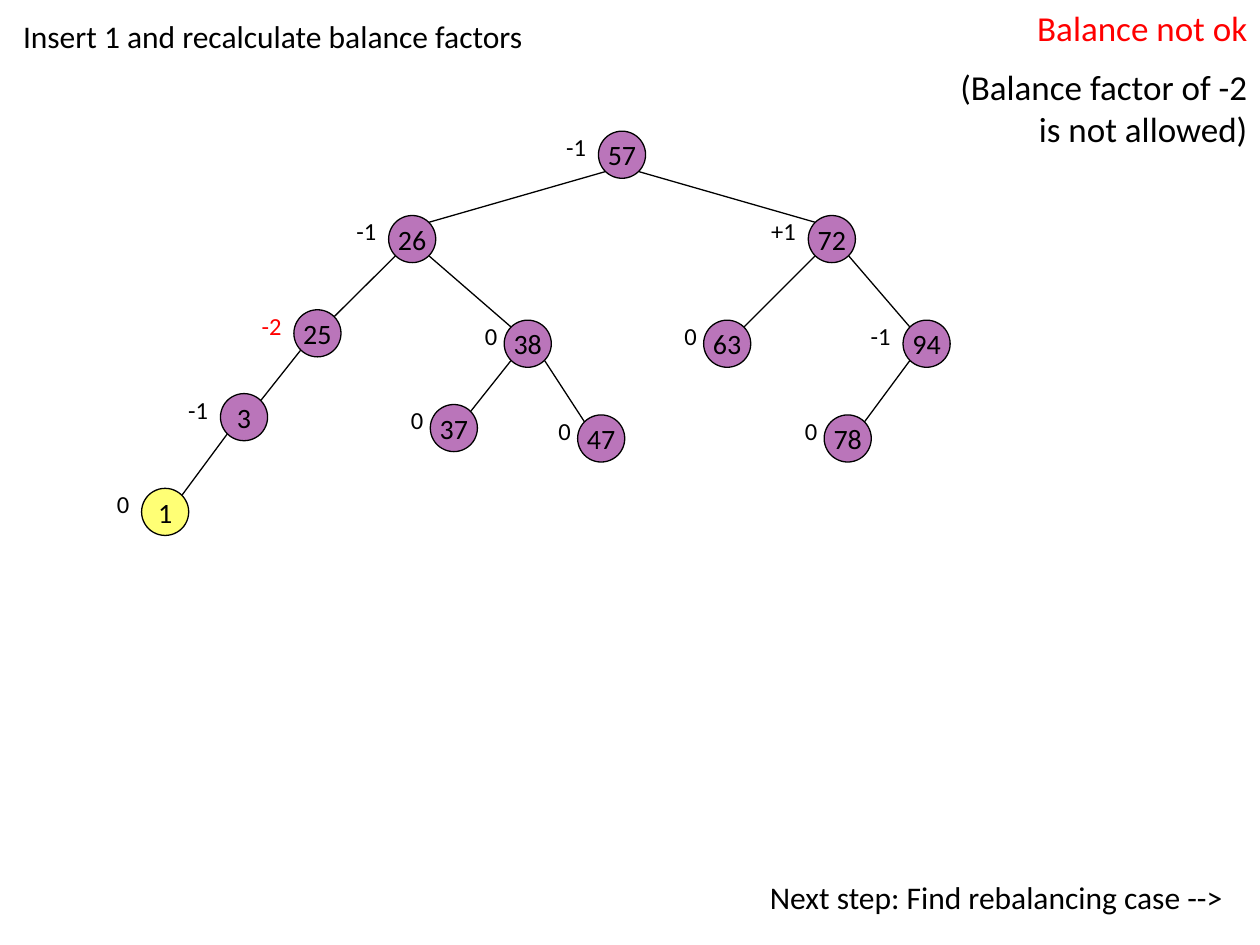
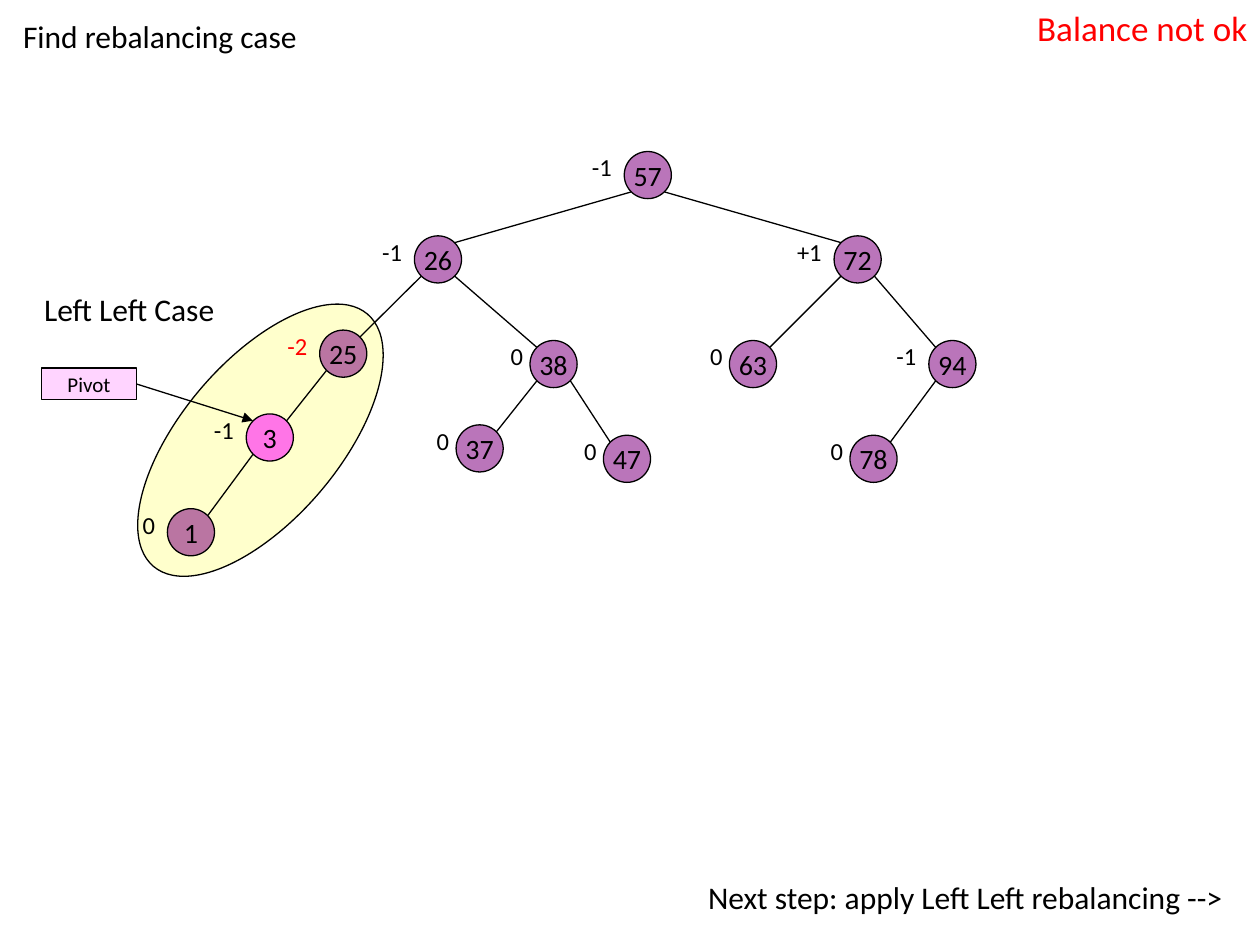
from lxml import etree
from pptx import Presentation
from pptx import util as u
from pptx.dml.color import RGBColor
from pptx.enum import shapes, text
from pptx.oxml.ns import qn

BLACK = RGBColor(0, 0, 0)
RED = RGBColor(255, 0, 0)
PURPLE = RGBColor(128, 0, 128)
YELLOW = RGBColor(255, 255, 0)
MAGENTA = RGBColor(255, 0, 255)
FONT = "Calibri"
LEFT, CENTER, RIGHT = text.PP_ALIGN.LEFT, text.PP_ALIGN.CENTER, text.PP_ALIGN.RIGHT

NODE_SIZE = 0.95
NODE_OPACITY = 54
RIM = 0.34
ZERO_WIDTH = 0.64

NODES = {
    57: (12.54, 3.12, "-1", 2.96),
    26: (8.31, 4.82, "-1", 2.33),
    72: (16.77, 4.82, "+1", 1.69),
    25: (6.40, 6.72, "-2", 1.06),
    38: (10.64, 6.93, "0", ZERO_WIDTH),
    63: (14.66, 6.93, "0", ZERO_WIDTH),
    94: (18.68, 6.93, "-1", 1.48),
    3: (4.92, 8.41, "-1", 1.27),
    37: (9.15, 8.63, "0", ZERO_WIDTH),
    47: (12.12, 8.84, "0", ZERO_WIDTH),
    78: (17.09, 8.84, "0", ZERO_WIDTH),
    1: (3.33, 10.32, "0", 1.27),
}
EDGES = [(57, 26), (57, 72), (26, 25), (26, 38), (72, 63), (72, 94),
         (25, 3), (38, 37), (38, 47), (94, 78), (3, 1)]


class TreeDeck:
    def __init__(self):
        self.deck = Presentation()
        self.deck.slide_width, self.deck.slide_height = u.Cm(25.4), u.Cm(19.05)
        self.page = None

    def set_lines(self, frame, lines, size, align=LEFT):
        frame.text = "\n".join(line for line, color in lines)
        for index, (para, (line, color)) in enumerate(zip(frame.paragraphs, lines)):
            para.alignment = align
            para.space_before = u.Pt(size / 2 if index else 0)
            for span in para.runs:
                span.font.name, span.font.size = FONT, u.Pt(size)
                span.font.color.rgb = color

    def new_page(self, title, next_step):
        self.page = self.deck.slides.add_slide(self.deck.slide_layouts[5])
        box = self.page.shapes.title
        box.left, box.top, box.width, box.height = map(u.Cm, (0.21, 0.21, 17.35, 1.27))
        box.text_frame.auto_size = text.MSO_AUTO_SIZE.NONE
        box.text_frame.vertical_anchor = text.MSO_ANCHOR.TOP
        self.set_lines(box.text_frame, [(title, BLACK)], 18)
        self.label((0, 17.57, 24.9, 1.02), [(next_step, BLACK)], 18, RIGHT)

    def label(self, place, lines, size, align=LEFT):
        box = self.page.shapes.add_textbox(*map(u.Cm, place))
        box.text_frame.word_wrap = True
        box.text_frame.auto_size = text.MSO_AUTO_SIZE.SHAPE_TO_FIT_TEXT
        self.set_lines(box.text_frame, lines, size, align)

    def status(self, height, *remarks):
        lines = [("Balance not ok", RED)] + [(remark, BLACK) for remark in remarks]
        self.label((18.9, 0, 6.5, height), lines, 20, RIGHT)

    def shape(self, kind, place, color, opacity, caption="", size=16):
        shape = self.page.shapes.add_shape(kind, *map(u.Cm, place))
        shape.shadow.inherit = False
        shape.fill.solid()
        shape.fill.fore_color.rgb = color
        tint = shape.element.spPr.find(qn("a:solidFill")).find(qn("a:srgbClr"))
        etree.SubElement(tint, qn("a:alpha")).set("val", str(opacity * 1000))
        shape.line.color.rgb = BLACK
        shape.line.width = u.Pt(0.75)
        if caption:
            shape.text_frame.word_wrap = False
            shape.text_frame.vertical_anchor = text.MSO_ANCHOR.MIDDLE
            self.set_lines(shape.text_frame, [(caption, BLACK)], size, CENTER)
        return shape

    def line(self, start, end, arrow=False):
        line = self.page.shapes.add_connector(
            shapes.MSO_CONNECTOR.STRAIGHT, *map(u.Cm, (*start, *end)))
        line.line.color.rgb = BLACK
        line.line.width = u.Pt(0.75)
        properties = line.element.spPr
        if arrow:
            tail = etree.SubElement(properties.find(qn("a:ln")), qn("a:tailEnd"))
            tail.set("type", "triangle")
        etree.SubElement(properties, qn("a:effectLst"))
        return line

    def node(self, key, x, y, factor, label_width, color):
        left = x - NODE_SIZE / 2
        self.shape(shapes.MSO_SHAPE.OVAL, (left, y - NODE_SIZE / 2, NODE_SIZE, NODE_SIZE),
                   color, NODE_OPACITY, str(key))
        self.label((left - label_width, y - 0.58, label_width, 0.85),
                   [(factor, RED if factor == "-2" else BLACK)], 14,
                   LEFT if label_width == ZERO_WIDTH else RIGHT)

    def tree(self, highlights, shift_x=0, shift_y=0):
        spots = {key: (x + shift_x, y + shift_y) for key, (x, y, *rest) in NODES.items()}
        for parent, child in EDGES:
            (x1, y1), (x2, y2) = spots[parent], spots[child]
            side = RIM if x2 > x1 else -RIM
            self.line((x1 + side, y1 + RIM), (x2 - side, y2 - RIM))
        for key, (x, y, factor, label_width) in NODES.items():
            self.node(key, *spots[key], factor, label_width, highlights.get(key, PURPLE))
        return spots


def main():
    show = TreeDeck()

    show.new_page("Insert 1 and recalculate balance factors",
                  "Next step: Find rebalancing case -->")
    show.status(3.23, "(Balance factor of -2 is not allowed)")
    show.tree({1: YELLOW})

    show.new_page("Find rebalancing case",
                  "Next step: apply Left Left rebalancing -->")
    show.status(1.09)
    case_area = show.shape(shapes.MSO_SHAPE.OVAL, (3.66, 5.54, 3.18, 6.67), YELLOW, 20)
    case_area.rotation = 40.3
    show.label((0.64, 5.72, 5.5, 1.02), [("Left Left Case", BLACK)], 18)
    spots = show.tree({3: MAGENTA}, 0.52, 0.41)
    pivot = show.shape(shapes.MSO_SHAPE.RECTANGLE, (0.84, 7.42, 1.91, 0.64),
                       MAGENTA, 17, "Pivot", 12)
    pivot_x, pivot_y = spots[3]
    arrow = show.line((2.75, 7.74), (pivot_x - RIM, pivot_y - RIM), arrow=True)
    arrow.begin_connect(pivot, 3)

    show.deck.save("out.pptx")


if __name__ == "__main__":
    main()
